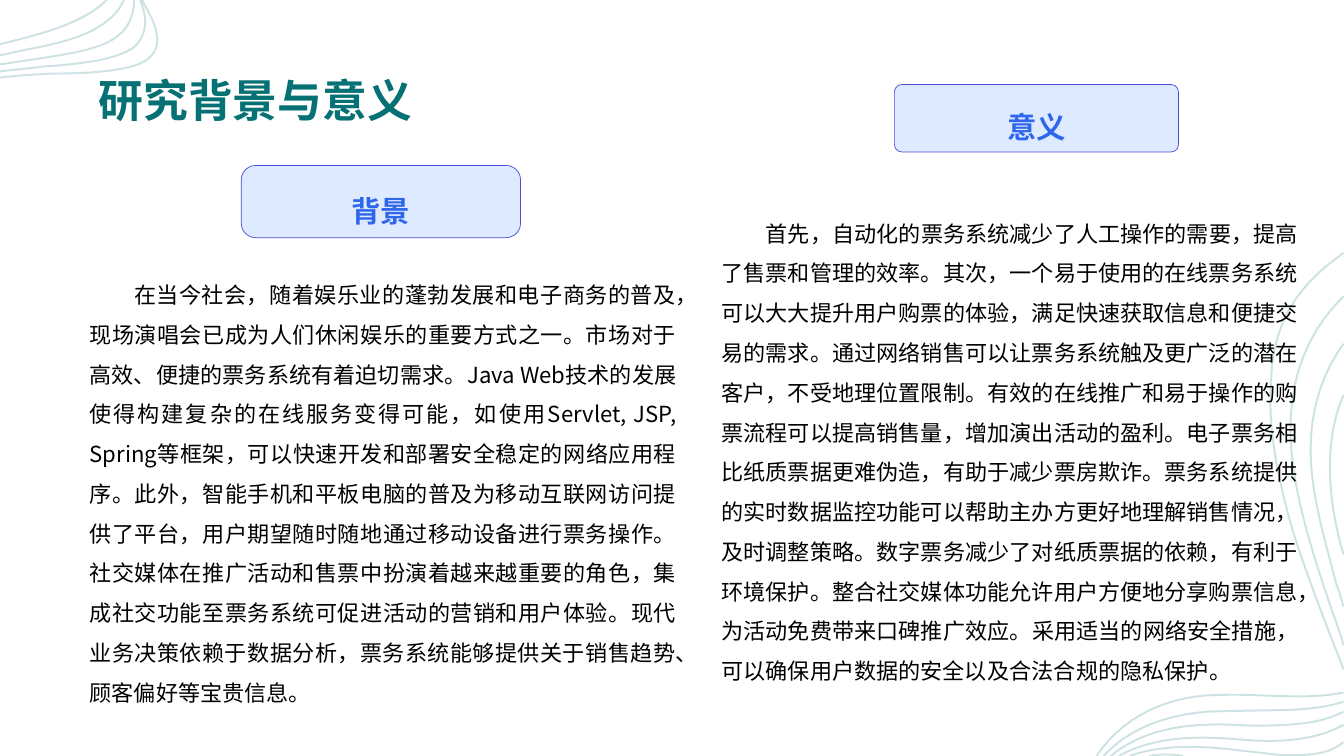
from dataclasses import dataclass

from lxml.etree import SubElement
from pptx import Presentation
from pptx.dml.color import RGBColor
from pptx.enum.shapes import MSO_SHAPE as Shape
from pptx.enum.text import MSO_ANCHOR as Anchor, MSO_AUTO_SIZE as AutoSize, PP_ALIGN as Align
from pptx.oxml.ns import qn
from pptx.util import Cm, Pt


@dataclass(frozen=True)
class Theme:
    font: str = "Noto Sans CJK SC"
    teal: RGBColor = RGBColor(0x05, 0x71, 0x74)
    black: RGBColor = RGBColor(0, 0, 0)
    blue: RGBColor = RGBColor(0x2F, 0x66, 0xEE)
    pale: RGBColor = RGBColor(0xDE, 0xEA, 0xFF)
    edge: RGBColor = RGBColor(0x50, 0x49, 0xD5)
    title: Pt = Pt(32)
    heading: Pt = Pt(21)
    body: Pt = Pt(15.8)


theme = Theme()


def write(box, text, size, color, align, bold=False, spacing=None):
    frame = box.text_frame
    frame.word_wrap = True
    frame.vertical_anchor = Anchor.MIDDLE
    para = frame.paragraphs[0]
    para.text = text
    para.alignment = align
    para.line_spacing = spacing
    font = para.font
    font.name, font.size, font.bold = theme.font, size, bold
    font.color.rgb = color
    properties = para._p.get_or_add_pPr()
    SubElement(properties.find(qn("a:defRPr")), qn("a:ea"), typeface=theme.font)
    return properties


def draw_waves(page, waves, steps=12):
    scale = 0.0254
    builder = page.shapes.build_freeform(*(Cm(value * scale) for value in waves[0][0]))
    for points in waves:
        pairs = [(Cm(x * scale), Cm(y * scale)) for x, y in points]
        curve = []
        for first in range(0, len(pairs) - 1, 3):
            a, b, c, d = pairs[first:first + 4]
            for step in range(1, steps + 1):
                t = step / steps
                u = 1 - t
                curve.append(tuple(
                    u**3 * p + 3 * u**2 * t * q + 3 * u * t**2 * r + t**3 * s
                    for p, q, r, s in zip(a, b, c, d)
                ))
        builder.move_to(*pairs[0])
        builder.add_line_segments(curve, close=False)
    drawing = builder.convert_to_shape()
    drawing.shadow.inherit = False
    drawing.fill.background()
    drawing.line.color.rgb = theme.teal
    drawing.line.width = Pt(1.4)
    color = drawing.line._ln.find(qn("a:solidFill"))[0]
    SubElement(color, qn("a:alpha"), val="20000")


deck = Presentation()
deck.slide_width, deck.slide_height = Cm(33.87), Cm(19.05)
page = deck.slides.add_slide(deck.slide_layouts[5])

top_left_waves = [
    [(0, 44), (30, 36), (80, 26), (106, 0)],
    [(0, 77), (16, 75), (34, 74), (53, 73), (86, 73), (114, 71), (134, 65),
     (158, 57), (159, 41), (153, 24), (150, 16), (145, 8), (141, 0)],
    [(0, 71), (14, 69), (29, 68), (43, 66), (62, 65), (80, 63), (97, 60),
     (112, 57), (125, 53), (134, 46), (147, 33), (146, 16), (139, 0)],
    [(0, 64), (13, 62), (26, 60), (40, 58), (72, 53), (104, 48), (119, 34),
     (130, 24), (133, 12), (133, 0)],
    [(0, 55), (9, 53), (18, 51), (27, 49), (39, 47), (52, 44), (63, 41),
     (93, 33), (115, 19), (123, 0)],
]
right_waves = [
    [(1333, 392), (1315, 432), (1315, 490), (1333, 550)],
    [(1333, 341), (1305, 380), (1294, 429), (1304, 488), (1309, 518), (1318, 549),
     (1326, 580), (1329, 587), (1331, 595), (1333, 602)],
    [(1333, 294), (1291, 335), (1273, 392), (1283, 462), (1289, 508), (1305, 557),
     (1322, 607), (1326, 618), (1330, 629), (1333, 640)],
    [(1333, 251), (1298, 276), (1262, 310), (1261, 380), (1258, 423), (1267, 471),
     (1281, 521), (1295, 567), (1314, 615), (1333, 664)],
]
bottom_waves = [
    [(1333, 687), (1310, 692), (1282, 691), (1254, 690), (1234, 689), (1215, 689),
     (1196, 690), (1147, 694), (1110, 717), (1088, 750)],
    [(1333, 696), (1319, 701), (1302, 703), (1285, 704), (1256, 705), (1228, 705),
     (1198, 706), (1149, 710), (1116, 727), (1095, 750)],
    [(1333, 706), (1308, 719), (1281, 719), (1252, 720), (1235, 720), (1215, 718),
     (1198, 719), (1150, 720), (1120, 735), (1102, 750)],
    [(1333, 719), (1314, 730), (1283, 738), (1235, 734), (1180, 729), (1143, 732), (1110, 750)],
    [(1333, 736), (1320, 748), (1299, 750), (1271, 749), (1259, 748), (1246, 746),
     (1234, 745), (1190, 739), (1150, 739), (1121, 750)],
    [(1140, 750), (1152, 748), (1160, 748), (1174, 750)],
]
for waves in (top_left_waves, right_waves + bottom_waves):
    draw_waves(page, waves)

title = page.shapes.title
title.left, title.top, title.width, title.height = Cm(1.17), Cm(0.69), Cm(10.54), Cm(3.66)
frame = title.text_frame
frame.auto_size = AutoSize.NONE
frame.margin_left = frame.margin_right = frame.margin_top = frame.margin_bottom = 0
write(title, "研究背景与意义", theme.title, theme.teal, Align.CENTER, bold=True)

sections = [
    ("背景", (6.08, 4.17, 7.04, 1.82), 0.2, (2.01, 6.58, 15.29, 11.38),
     "在当今社会，随着娱乐业的蓬勃发展和电子商务的普及，现场演唱会已成为人们休闲娱乐的重要方式之一。"
     "市场对于高效、便捷的票务系统有着迫切需求。Java Web技术的发展使得构建复杂的在线服务变得可能，"
     "如使用Servlet, JSP, Spring等框架，可以快速开发和部署安全稳定的网络应用程序。"
     "此外，智能手机和平板电脑的普及为移动互联网访问提供了平台，用户期望随时随地通过移动设备进行票务操作。"
     "社交媒体在推广活动和售票中扮演着越来越重要的角色，集成社交功能至票务系统可促进活动的营销和用户体验。"
     "现代业务决策依赖于数据分析，票务系统能够提供关于销售趋势、顾客偏好等宝贵信息。"),
    ("意义", (22.54, 2.13, 7.16, 1.7), 0.11, (17.93, 4.52, 15.04, 13.41),
     "首先，自动化的票务系统减少了人工操作的需要，提高了售票和管理的效率。"
     "其次，一个易于使用的在线票务系统可以大大提升用户购票的体验，满足快速获取信息和便捷交易的需求。"
     "通过网络销售可以让票务系统触及更广泛的潜在客户，不受地理位置限制。"
     "有效的在线推广和易于操作的购票流程可以提高销售量，增加演出活动的盈利。"
     "电子票务相比纸质票据更难伪造，有助于减少票房欺诈。"
     "票务系统提供的实时数据监控功能可以帮助主办方更好地理解销售情况，及时调整策略。"
     "数字票务减少了对纸质票据的依赖，有利于环境保护。"
     "整合社交媒体功能允许用户方便地分享购票信息，为活动免费带来口碑推广效应。"
     "采用适当的网络安全措施，可以确保用户数据的安全以及合法合规的隐私保护。"),
]
for heading, heading_area, rounding, body_area, body in sections:
    box = page.shapes.add_textbox(*map(Cm, body_area))
    properties = write(box, body, theme.body, theme.black, Align.JUSTIFY, spacing=1.5)
    properties.set("marL", "0")
    properties.set("indent", str(Cm(1.12)))

    label = page.shapes.add_shape(Shape.ROUNDED_RECTANGLE, *map(Cm, heading_area))
    label.adjustments[0] = rounding
    label.shadow.inherit = False
    label.fill.solid()
    label.fill.fore_color.rgb = theme.pale
    label.line.color.rgb = theme.edge
    label.line.width = Pt(0.5)
    write(label, heading, theme.heading, theme.blue, Align.CENTER, bold=True, spacing=1.5)

deck.save("out.pptx")
